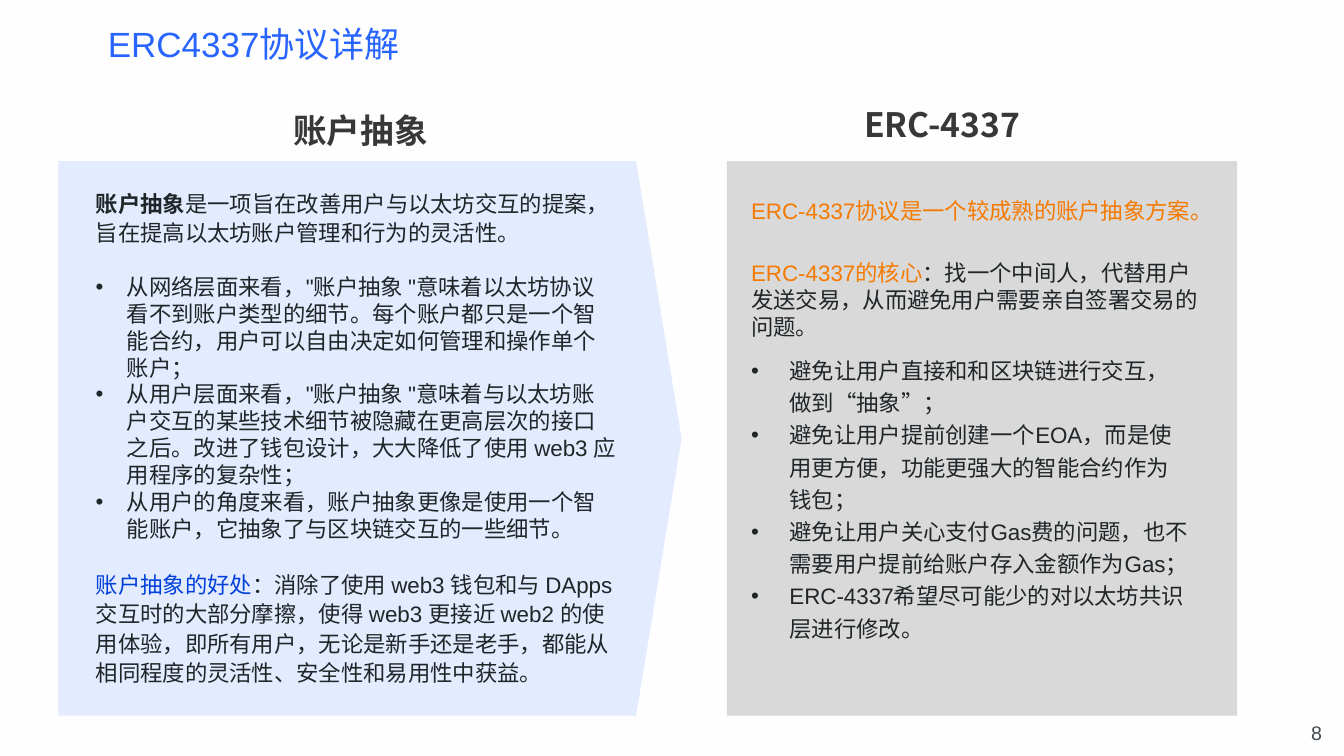
from lxml import etree
from pptx import Presentation
from pptx.dml.color import RGBColor
from pptx.enum import lang, shapes, text
from pptx.oxml import ns
from pptx.util import Inches, Pt

LATIN, CJK = "Arial", "Noto Sans CJK SC"
INK, ORANGE, BLUE = "202528", "F57A01", "013FDB"

ABSTRACTION_POINTS = [
    "从网络层面来看，\"账户抽象 \"意味着以太坊协议看不到账户类型的细节。每个账户都只是一个智能合约，用户可以自由决定如何管理和操作单个账户；",
    "从用户层面来看，\"账户抽象 \"意味着与以太坊账户交互的某些技术细节被隐藏在更高层次的接口之后。改进了钱包设计，大大降低了使用 web3 应用程序的复杂性；",
    "从用户的角度来看，账户抽象更像是使用一个智能账户，它抽象了与区块链交互的一些细节。",
]
ERC_POINTS = [
    "避免让用户直接和和区块链进行交互，做到“抽象”；",
    "避免让用户提前创建一个EOA，而是使用更方便，功能更强大的智能合约作为钱包；",
    "避免让用户关心支付Gas费的问题，也不需要用户提前给账户存入金额作为Gas；",
    "ERC-4337希望尽可能少的对以太坊共识层进行修改。",
]


def color(value):
    return RGBColor.from_string(value)


def add_panel(s, kind, x, y, w, h, fill, adjustment):
    sp = s.shapes.add_shape(kind, Inches(x), Inches(y), Inches(w), Inches(h))
    sp.adjustments[0] = adjustment
    sp.shadow.inherit = False
    sp.fill.solid()
    sp.fill.fore_color.rgb = color(fill)
    sp.line.fill.background()


def add_box(s, x, y, w, h, inset=0.05, grow=True):
    tf = s.shapes.add_textbox(Inches(x), Inches(y), Inches(w), Inches(h)).text_frame
    tf.word_wrap = True
    tf.auto_size = text.MSO_AUTO_SIZE.SHAPE_TO_FIT_TEXT if grow else text.MSO_AUTO_SIZE.NONE
    tf.margin_left = tf.margin_right = Inches(inset)
    tf.margin_top = tf.margin_bottom = Inches(0.05)
    return tf


def add_run(p, words, size=16, fill=INK, font=LATIN, bold=False):
    r = p.add_run()
    r.text = words
    r.font.size = Pt(size)
    r.font.bold = bold
    r.font.name = font
    r.font.color.rgb = color(fill)
    r.font.language_id = lang.MSO_LANGUAGE_ID.SIMPLIFIED_CHINESE
    etree.SubElement(r.font._element, ns.qn("a:ea"), typeface=CJK)


def next_paragraph(tf, spacing=1.0, before=0):
    """Return the first paragraph while it is empty, otherwise a new one."""
    p = tf.paragraphs[0] if not tf.paragraphs[0].runs else tf.add_paragraph()
    p.line_spacing = spacing
    p.space_before = Pt(before)
    return p


def add_bullets(tf, points, indent, spacing=1.0, before=0):
    for i, point in enumerate(points):
        p = next_paragraph(tf, spacing, 0 if i else before)
        pPr = p._p.get_or_add_pPr()
        pPr.set("marL", str(Inches(indent)))
        pPr.set("indent", str(-Inches(indent)))
        etree.SubElement(pPr, ns.qn("a:buFont"), typeface=LATIN)
        etree.SubElement(pPr, ns.qn("a:buChar"), char="•")
        add_run(p, point)


def add_heading(s, x, y, w, words):
    add_run(next_paragraph(add_box(s, x, y, w, 0.5)), words, 24, "383838", CJK, True)


def add_abstraction_column(s):
    add_heading(s, 2.86, 1.04, 1.61, "账户抽象")
    add_panel(s, shapes.MSO_SHAPE.PENTAGON, 0.58, 1.6, 6.18, 5.5, "E3EBFF", 0.082)
    tf = add_box(s, 0.9, 1.81, 5.27, 5.29, grow=False)
    p = next_paragraph(tf, 1.1)
    add_run(p, "账户抽象", bold=True)
    add_run(p, "是一项旨在改善用户与以太坊交互的提案，旨在提高以太坊账户管理和行为的灵活性。")
    add_bullets(tf, ABSTRACTION_POINTS, 0.31, before=19)
    p = next_paragraph(tf, 1.1, 19)
    add_run(p, "账户抽象的好处", fill=BLUE)
    add_run(p, "：消除了使用 web3 钱包和与 DApps 交互时的大部分摩擦，使得 web3 更接近 web2 的使用体验，"
               "即所有用户，无论是新手还是老手，都能从相同程度的灵活性、安全性和易用性中获益。")


def add_erc_column(s):
    add_heading(s, 8.52, 0.98, 2.35, "ERC-4337")
    add_panel(s, shapes.MSO_SHAPE.ROUNDED_RECTANGLE, 7.21, 1.6, 5.06, 5.5, "D9D9D9", 0)
    summary = add_box(s, 7.4, 1.91, 4.76, 0.5, grow=False)
    add_run(next_paragraph(summary), "ERC-4337协议是一个较成熟的账户抽象方案。", fill=ORANGE)
    p = next_paragraph(add_box(s, 7.4, 2.52, 4.63, 0.91))
    add_run(p, "ERC-4337的核心", fill=ORANGE)
    add_run(p, "：找一个中间人，代替用户发送交易，从而避免用户需要亲自签署交易的问题。")
    add_bullets(add_box(s, 7.4, 3.44, 4.44, 3), ERC_POINTS, 0.38, 1.2)


def main():
    prs = Presentation()
    prs.slide_width, prs.slide_height = Inches(13.33), Inches(7.5)
    s = prs.slides.add_slide(prs.slide_layouts[6])
    s.background.fill.solid()
    s.background.fill.fore_color.rgb = color("FEFEFE")

    title = add_box(s, 1.02, 0.22, 2.99, 0.48)
    add_run(next_paragraph(title, 0.9), "ERC4337协议详解", 25, "2864FF")
    add_abstraction_column(s)
    add_erc_column(s)
    p = next_paragraph(add_box(s, 12.61, 7.1, 0.6, 0.24, inset=0.1, grow=False))
    p.alignment = text.PP_ALIGN.RIGHT
    add_run(p, "8", 14, "404A4F")
    prs.save("out.pptx")


if __name__ == "__main__":
    main()
